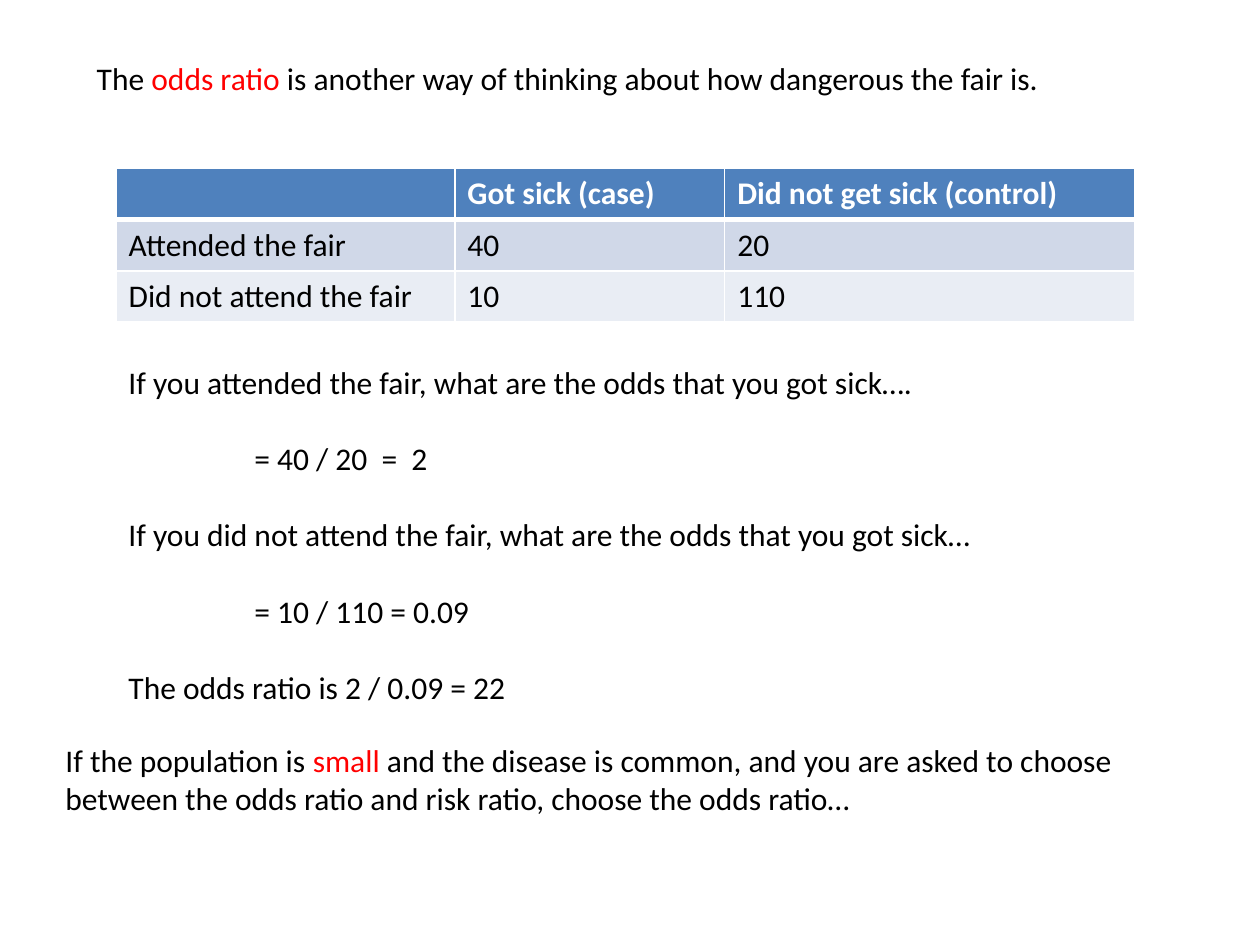
from dataclasses import dataclass

from lxml.etree import SubElement
from pptx import Presentation
from pptx.dml.color import RGBColor
from pptx.enum.text import MSO_AUTO_SIZE
from pptx.oxml.ns import qn
from pptx.util import Cm, Pt

BLACK, WHITE, RED = "000000", "FFFFFF", "FF0000"
HEADER_FILL = "4F81BD"
BODY_FILLS = ["D0D8E8", "E9EDF4"]
LINE_GAP = 22


@dataclass
class Line:
    runs: list[tuple[str, str]]
    indent: float = 0
    gap: float = 0


@dataclass
class TextBlock:
    left: float
    top: float
    width: float
    height: float
    lines: list[Line]


def color(value: str) -> RGBColor:
    return RGBColor.from_string(value)


def add_run(paragraph, text: str, ink: str, bold: bool = False) -> None:
    run = paragraph.add_run()
    run.text = text
    for name, value in {"name": "Calibri", "size": Pt(18), "bold": bold}.items():
        setattr(run.font, name, value)
    run.font.color.rgb = color(ink)


def add_text_block(slide, block: TextBlock) -> None:
    shape = slide.shapes.add_textbox(
        Cm(block.left), Cm(block.top), Cm(block.width), Cm(block.height)
    )
    frame = shape.text_frame
    for name, value in {"word_wrap": False, "auto_size": MSO_AUTO_SIZE.NONE}.items():
        setattr(frame, name, value)
    for index, line in enumerate(block.lines):
        paragraph = frame.add_paragraph() if index else frame.paragraphs[0]
        paragraph.space_before = Pt(line.gap)
        if line.indent:
            paragraph._p.get_or_add_pPr().set("marL", str(Cm(line.indent)))
        for text, ink in line.runs:
            add_run(paragraph, text, ink)


def set_borders(cell, widths: dict[str, float]) -> None:
    properties = cell._tc.get_or_add_tcPr()
    for position, (side, width) in enumerate(widths.items()):
        border = SubElement(properties, qn(f"a:{side}"), w=str(Pt(width)))
        fill = SubElement(border, qn("a:solidFill"))
        SubElement(fill, qn("a:srgbClr"), val=WHITE)
        properties.remove(border)
        properties.insert(position, border)


def add_odds_table(slide, rows: list[list[str]], widths: list[float]) -> None:
    row_height = 1.03
    table = slide.shapes.add_table(
        len(rows), len(widths), Cm(2.34), Cm(3.4), Cm(sum(widths)),
        Cm(row_height * len(rows)),
    ).table
    for column, width in zip(table.columns, widths):
        column.width = Cm(width)
    for row_index, row in enumerate(rows):
        is_header = row_index == 0
        table.rows[row_index].height = Cm(row_height)
        fill = HEADER_FILL if is_header else BODY_FILLS[row_index - 1]
        top = 3 if row_index == 1 else 1
        bottom = 3 if is_header else 1
        for column_index, text in enumerate(row):
            cell = table.cell(row_index, column_index)
            cell.fill.solid()
            cell.fill.fore_color.rgb = color(fill)
            set_borders(cell, {"lnL": 1, "lnR": 1, "lnT": top, "lnB": bottom})
            if text:
                ink = WHITE if is_header else BLACK
                add_run(cell.text_frame.paragraphs[0], text, ink, is_header)


INTRODUCTION = TextBlock(1.7, 1.07, 19.74, 2.57, [
    Line([
        ("The ", BLACK),
        ("odds ratio ", RED),
        ("is another way of thinking about how dangerous the fair is.", BLACK),
    ]),
])
WORKING = TextBlock(2.34, 7.19, 17.7, 7.19, [
    Line([(text, BLACK)], indent, LINE_GAP if index else 0)
    for index, (text, indent) in enumerate([
        ("If you attended the fair, what are the odds that you got sick….", 0),
        ("= 40 / 20  =  2", 2.54),
        ("If you did not attend the fair, what are the odds that you got sick…", 0),
        ("= 10 / 110 = 0.09", 2.54),
        ("The odds ratio is 2 / 0.09 = 22", 0),
    ])
])
ADVICE = TextBlock(1.07, 14.81, 22.02, 1.8, [
    Line([
        ("If the population is ", BLACK),
        ("small ", RED),
        ("and the disease is common, and you are asked to choose ", BLACK),
    ]),
    Line([("between the odds ratio and risk ratio, choose the odds ratio…", BLACK)]),
])
ODDS = [
    ["", "Got sick (case)", "Did not get sick (control)"],
    ["Attended the fair", "40", "20"],
    ["Did not attend the fair", "10", "110"],
]

presentation = Presentation()
presentation.slide_width, presentation.slide_height = Cm(25.4), Cm(19.05)
slide = presentation.slides.add_slide(presentation.slide_layouts[6])
add_text_block(slide, INTRODUCTION)
add_odds_table(slide, ODDS, [6.83, 5.44, 8.26])
for text_block in (WORKING, ADVICE):
    add_text_block(slide, text_block)
presentation.save("out.pptx")
